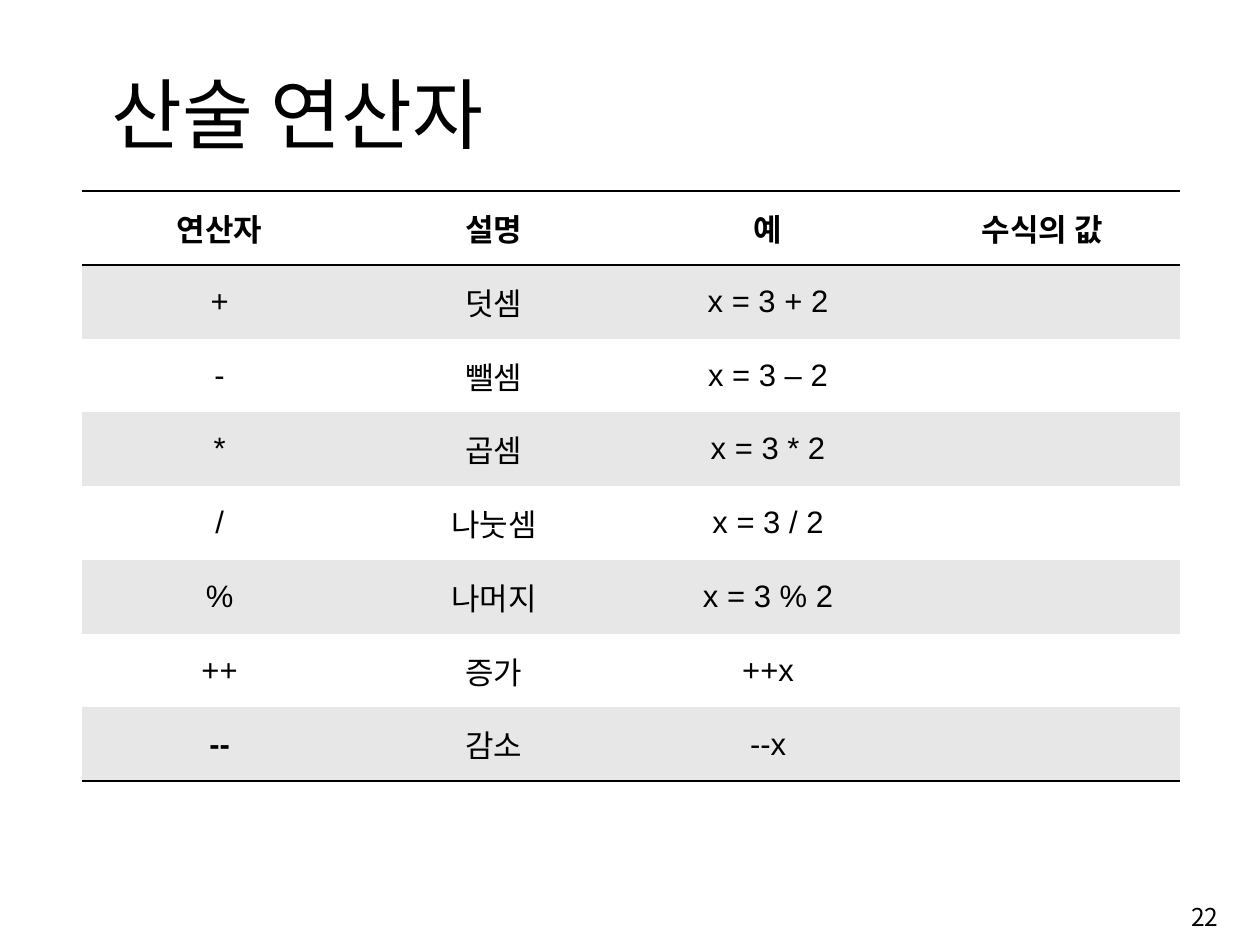
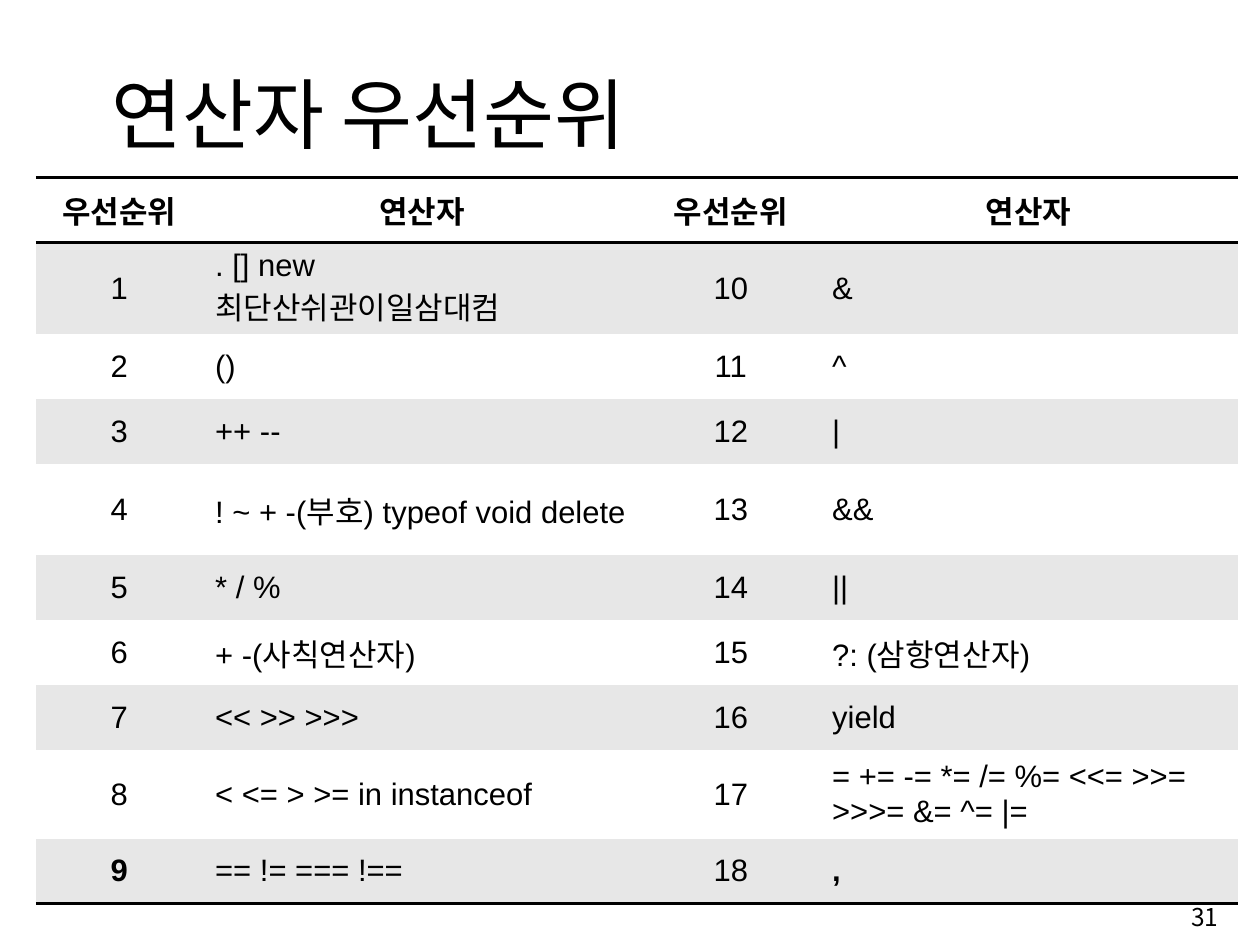
from dataclasses import dataclass

from lxml.etree import SubElement
from pptx import Presentation
from pptx.dml.color import RGBColor
from pptx.enum.text import MSO_ANCHOR as Anchor
from pptx.enum.text import MSO_AUTO_SIZE as AutoSize
from pptx.enum.text import PP_ALIGN as Align
from pptx.oxml.ns import qn
from pptx.slide import Slide
from pptx.table import _Cell as Cell
from pptx.text.text import TextFrame
from pptx.util import Pt

BLACK = RGBColor(0x00, 0x00, 0x00)
WHITE = RGBColor(0xFF, 0xFF, 0xFF)
BAND_GRAY = RGBColor(0xE7, 0xE7, 0xE7)

KOREAN_FONT = "Noto Sans CJK KR"
TABLE_FONT = "Arial"
PLAIN_TABLE_STYLE = "{2D5ABB26-0587-4C30-8999-92F81FD0307C}"
TITLE_ONLY = 5

TITLE_FORMAT = {"name": KOREAN_FONT, "size": Pt(57.2), "bold": False}
NUMBER_FORMAT = {"name": KOREAN_FONT, "size": Pt(18.2), "bold": False}
CELL_FORMAT = {"name": TABLE_FONT, "size": Pt(23), "bold": False}
CELL_LAYOUT = {
    "margin_left": Pt(9.36),
    "margin_right": Pt(9.36),
    "margin_top": Pt(4.32),
    "margin_bottom": Pt(4.32),
    "vertical_anchor": Anchor.MIDDLE,
}
TITLE_PLACE = {"left": Pt(75.6), "top": Pt(43.9), "width": Pt(764), "height": Pt(77.8)}
NUMBER_PLACE = {"left": Pt(718.6), "top": Pt(658.8), "width": Pt(193), "height": Pt(43.2)}


@dataclass(frozen=True)
class TablePage:
    title: str
    number: int
    left: float
    top: float
    widths: list[float]
    heights: list[float]
    aligns: list[Align]
    rows: list[list[str]]
    bold_columns: tuple[int, ...]  # bold cells of the last row


ROW, TALL_ROW = 48.24, 65.52

PAGES = [
    TablePage(
        title="산술 연산자",
        number=22,
        left=61.2,
        top=141.8,
        widths=[203.6] * 4,
        heights=[54.75] * 8,
        aligns=[Align.CENTER] * 4,
        rows=[
            ["연산자", "설명", "예", "수식의 값"],
            ["+", "덧셈", "x = 3 + 2", ""],
            ["-", "뺄셈", "x = 3 – 2", ""],
            ["*", "곱셈", "x = 3 * 2", ""],
            ["/", "나눗셈", "x = 3 / 2", ""],
            ["%", "나머지", "x = 3 % 2", ""],
            ["++", "증가", "++x", ""],
            ["--", "감소", "--x", ""],
        ],
        bold_columns=(0,),
    ),
    TablePage(
        title="연산자 우선순위",
        number=31,
        left=26.6,
        top=131.8,
        widths=[123.8, 326.2, 131.8, 310.3],
        heights=[ROW] * 4 + [TALL_ROW] + [ROW] * 3 + [TALL_ROW, ROW],
        aligns=[Align.CENTER, Align.LEFT] * 2,
        rows=[
            ["우선순위", "연산자", "우선순위", "연산자"],
            ["1", ". [] new\n최단산쉬관이일삼대컴", "10", "&"],
            ["2", "()", "11", "^"],
            ["3", "++ --", "12", "|"],
            ["4", "! ~ + -(부호) typeof void delete", "13", "&&"],
            ["5", "* / %", "14", "||"],
            ["6", "+ -(사칙연산자)", "15", "?: (삼항연산자)"],
            ["7", "<< >> >>>", "16", "yield"],
            ["8", "< <= > >= in instanceof", "17", "= += -= *= /= %= <<= >>= >>>= &= ^= |="],
            ["9", "== != === !==", "18", ","],
        ],
        bold_columns=(0, 3),
    ),
]


def set_attributes(target: object, values: dict) -> None:
    for name, value in values.items():
        setattr(target, name, value)


def write_text(frame: TextFrame, text: str, align: Align, font_format: dict) -> None:
    """Fill the frame, one paragraph a line, with Korean glyphs in the Korean font."""
    frame.text = text
    for para in frame.paragraphs:
        para.alignment = align
        for span in para.runs:
            set_attributes(span.font, font_format)
            span.font.color.rgb = BLACK
            properties = span.font._element
            SubElement(properties, qn("a:ea"), typeface=KOREAN_FONT)


def add_border(cell: Cell, side: str) -> None:
    """Rule one side of the cell; call it before the fill is set, top first."""
    line = SubElement(cell._tc.get_or_add_tcPr(), qn(f"a:ln{side}"), w=str(Pt(2)))
    fill = SubElement(line, qn("a:solidFill"))
    SubElement(fill, qn("a:srgbClr"), val=str(BLACK))


def add_title(slide: Slide, text: str) -> None:
    title = slide.shapes.title
    set_attributes(title, TITLE_PLACE)
    write_text(title.text_frame, text, Align.LEFT, TITLE_FORMAT)
    set_attributes(
        title.text_frame,
        {"vertical_anchor": Anchor.BOTTOM, "word_wrap": True, "auto_size": AutoSize.NONE},
    )


def add_operator_table(slide: Slide, page: TablePage) -> None:
    frame = slide.shapes.add_table(
        len(page.rows), len(page.widths), Pt(page.left), Pt(page.top),
        Pt(sum(page.widths)), Pt(sum(page.heights)),
    )
    for style in frame.element.iter(qn("a:tableStyleId")):
        style.text = PLAIN_TABLE_STYLE
    table = frame.table
    for column, width in zip(table.columns, page.widths):
        column.width = Pt(width)
    for row, height in zip(table.rows, page.heights):
        row.height = Pt(height)

    last = len(page.rows) - 1
    for row_index, texts in enumerate(page.rows):
        is_header, is_last = row_index == 0, row_index == last
        for column_index, text in enumerate(texts):
            cell = table.cell(row_index, column_index)
            set_attributes(cell, CELL_LAYOUT)
            if is_header:
                add_border(cell, "T")
            if is_header or is_last:
                add_border(cell, "B")
            cell.fill.solid()
            cell.fill.fore_color.rgb = BAND_GRAY if row_index % 2 else WHITE
            bold = is_header or (is_last and column_index in page.bold_columns)
            align = Align.CENTER if is_header else page.aligns[column_index]
            write_text(cell.text_frame, text, align, CELL_FORMAT | {"bold": bold})


def add_page_number(slide: Slide, number: int) -> None:
    box = slide.shapes.add_textbox(**NUMBER_PLACE)
    set_attributes(box.text_frame, {"word_wrap": True, "vertical_anchor": Anchor.MIDDLE})
    write_text(box.text_frame, str(number), Align.RIGHT, NUMBER_FORMAT)


def main() -> None:
    deck = Presentation()
    set_attributes(deck, {"slide_width": Pt(935.3), "slide_height": Pt(701.3)})
    for page in PAGES:
        slide = deck.slides.add_slide(deck.slide_layouts[TITLE_ONLY])
        add_title(slide, page.title)
        add_operator_table(slide, page)
        add_page_number(slide, page.number)
    deck.save("out.pptx")


if __name__ == "__main__":
    main()
